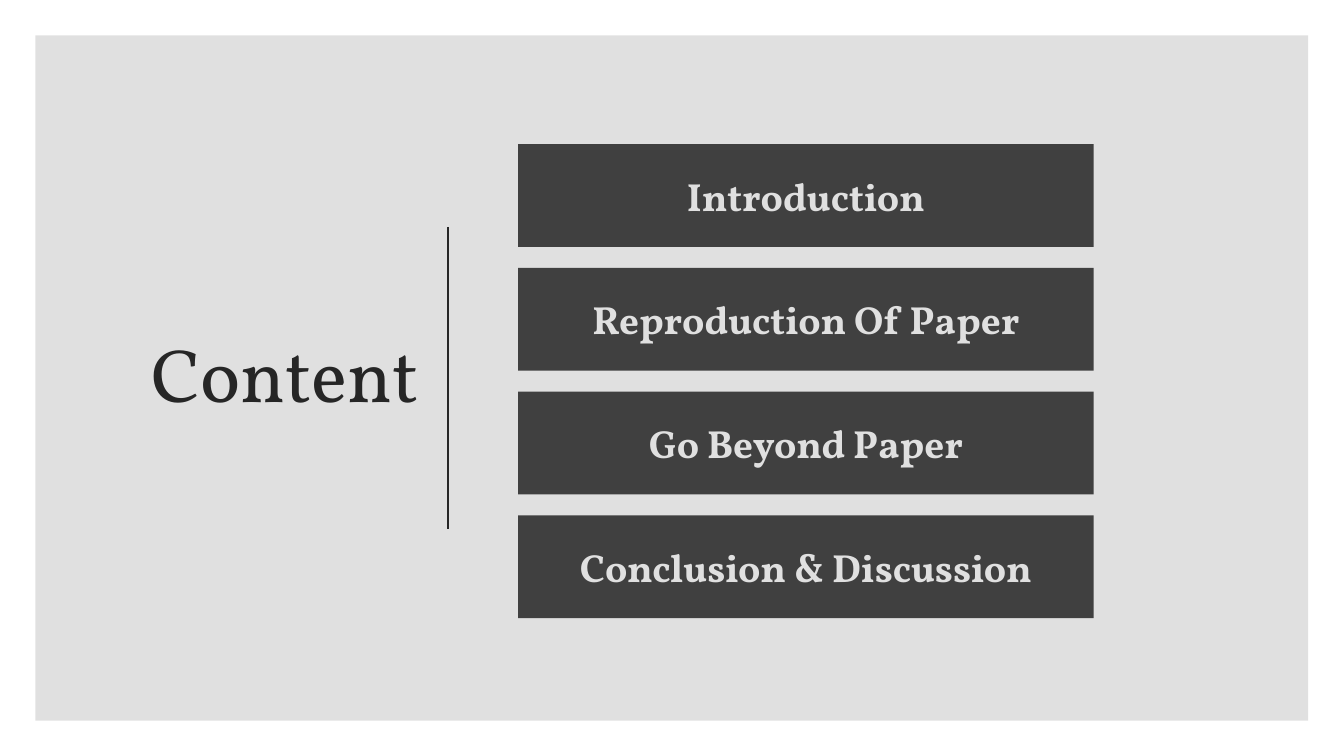
import pptx
import pptx.util
import pptx.dml.color
import pptx.enum.shapes
import pptx.enum.text
import pptx.oxml
import pptx.oxml.ns
from pptx.util import Cm

FONT = "Vollkorn"
COLORS = {"panel": "000000", "ink": "262626", "block": "404040", "label": "E0E0E0"}
RGB = {name: pptx.dml.color.RGBColor.from_string(c) for name, c in COLORS.items()}
TOPICS = ["Introduction", "Reproduction Of Paper", "Go Beyond Paper", "Conclusion & Discussion"]


def add_rect(left, top, width, height, color):
    sp = s.shapes.add_shape(pptx.enum.shapes.MSO_SHAPE.RECTANGLE,
                            Cm(left), Cm(top), Cm(width), Cm(height))
    sp.shadow.inherit = False
    sp.fill.solid()
    sp.fill.fore_color.rgb = RGB[color]
    sp.line.fill.background()
    return sp


def write(sp, text, size, color, bold=False):
    tf = sp.text_frame
    tf.word_wrap = True
    tf.vertical_anchor = pptx.enum.text.MSO_ANCHOR.MIDDLE
    p = tf.paragraphs[0]
    p.text = text
    p.font.name = FONT
    p.font.size = pptx.util.Pt(size)
    p.font.bold = bold
    p.font.color.rgb = RGB[color]
    return p


prs = pptx.Presentation()
prs.slide_width, prs.slide_height = Cm(33.87), Cm(19.05)
s = prs.slides.add_slide(prs.slide_layouts[6])

panel = add_rect(0.89, 0.89, 32.08, 17.27, "panel")
clr = panel.fill._xPr.find(".//" + pptx.oxml.ns.qn("a:srgbClr"))
clr.append(pptx.oxml.parse_xml(f'<a:alpha {pptx.oxml.ns.nsdecls("a")} val="12000"/>'))

title = s.shapes.add_textbox(Cm(3.56), Cm(2.69), Cm(7.72), Cm(13.69))
p = write(title, "Content", 54, "ink")
p.alignment = pptx.enum.text.PP_ALIGN.LEFT
p.line_spacing = 0.9

divider = s.shapes.add_connector(pptx.enum.shapes.MSO_CONNECTOR.STRAIGHT,
                                 Cm(11.28), Cm(5.72), Cm(11.28), Cm(13.34))
divider.line.color.rgb = RGB["ink"]
divider.line.width = pptx.util.Pt(1.5)
divider._element.spPr.append(
    pptx.oxml.parse_xml(f'<a:effectLst {pptx.oxml.ns.nsdecls("a")}/>'))

for i, topic in enumerate(TOPICS):
    block = add_rect(13.06, 3.63 + i * 3.12, 14.5, 2.59, "block")
    p = write(block, topic, 28, "label", bold=True)
    p.alignment = pptx.enum.text.PP_ALIGN.CENTER

prs.save("out.pptx")
